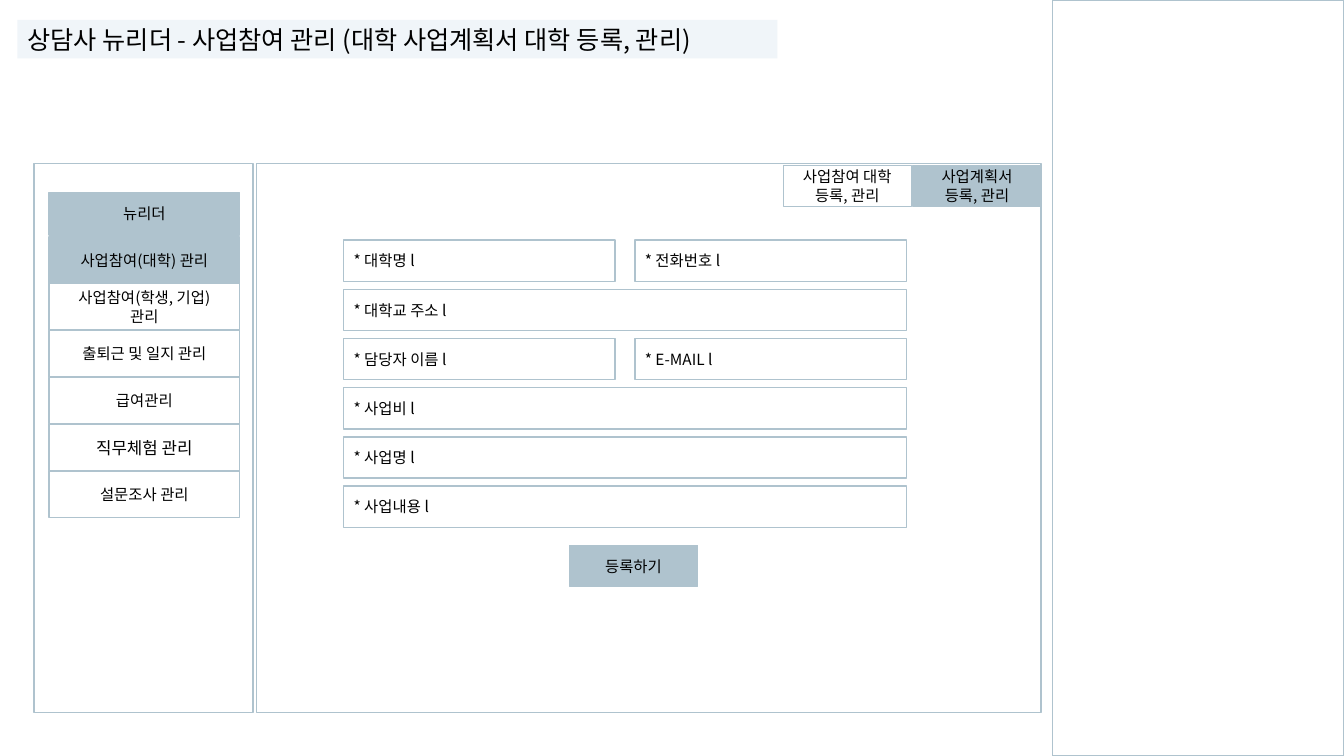
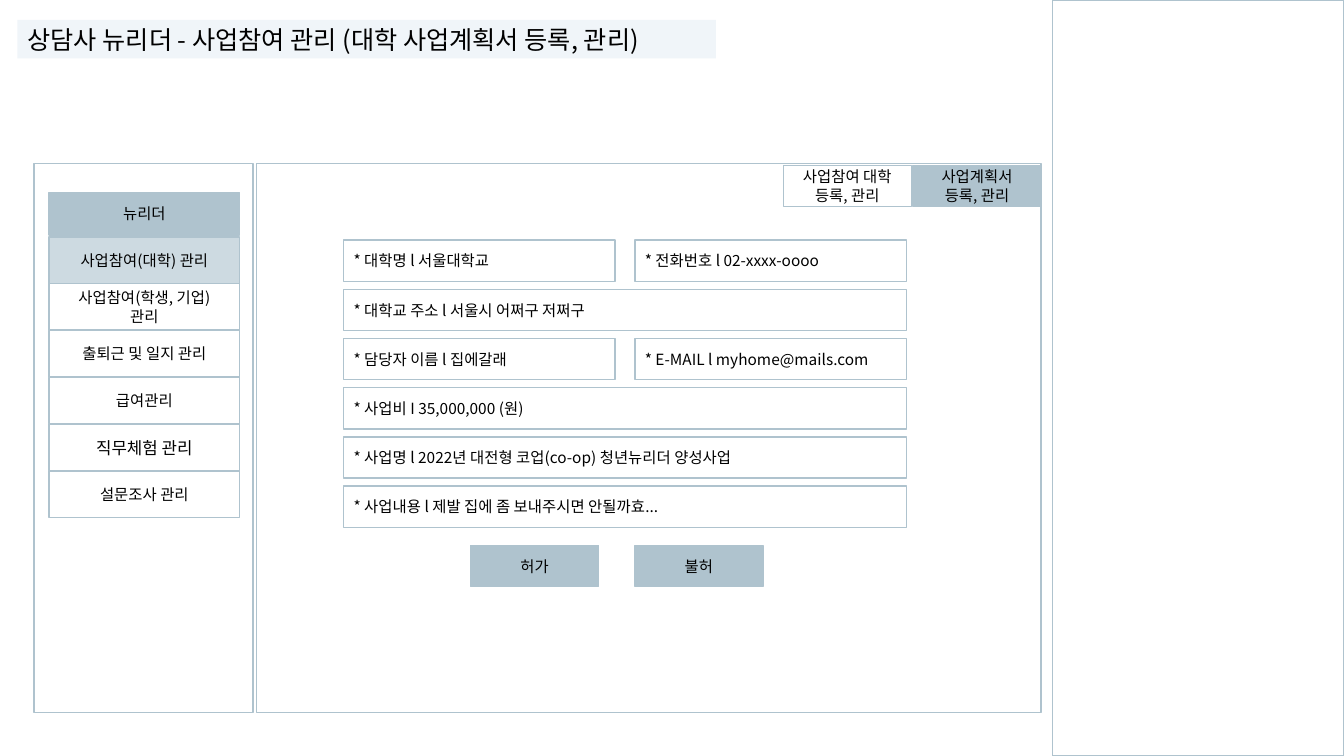
from lxml import etree
from pptx import Presentation
from pptx.dml.color import RGBColor
from pptx.enum import shapes, text
from pptx.oxml import ns
from pptx.util import Cm, Pt

FONT = "Noto Sans CJK KR"
INK, LINE, SELECTED, BAND = "000000", "AFC3CE", "CDDAE1", "F0F5F9"
LEFT, CENTER = text.PP_ALIGN.LEFT, text.PP_ALIGN.CENTER

MENU = ["사업참여(대학) 관리", "사업참여(학생, 기업)\n관리", "출퇴근 및 일지 관리",
        "급여관리", "직무체험 관리", "설문조사 관리"]
LARGE_ITEM = "직무체험 관리"
MENU_X, MENU_Y, MENU_W, MENU_PITCH = 1.24, 5.97, 4.8, 1.18
FORM_X, FORM_Y, FORM_PITCH = 8.66, 6.05, 1.24
HALF_W, FULL_W, COLUMN_STEP = 6.84, 14.18, 7.34
BUTTON_W, ROW_H = 3.23, 1.04
BUTTON_Y = 13.74


def rgb(value):
    return RGBColor.from_string(value)


class Wireframe:
    def __init__(self):
        self.prs = Presentation()
        self.prs.slide_width, self.prs.slide_height = Cm(33.87), Cm(19.05)
        self.slide = None

    def set_text(self, sp, content, size, align):
        tf = sp.text_frame
        tf.text = content
        tf.word_wrap = True
        tf.auto_size = text.MSO_AUTO_SIZE.NONE
        tf.vertical_anchor = text.MSO_ANCHOR.MIDDLE
        for p in tf.paragraphs:
            p.alignment = align
            for r in p.runs:
                r.font.size = Pt(size)
                r.font.name = FONT
                r.font.color.rgb = rgb(INK)
                latin = r.font._element.find(ns.qn("a:latin"))
                ea = etree.Element(ns.qn("a:ea"), typeface=FONT)
                latin.addnext(ea)

    def title(self, content, width):
        self.slide = self.prs.slides.add_slide(self.prs.slide_layouts[5])
        sp = self.slide.shapes.title
        sp.left, sp.top, sp.width, sp.height = Cm(0.44), Cm(0.5), Cm(width), Cm(0.97)
        sp.fill.solid()
        sp.fill.fore_color.rgb = rgb(BAND)
        self.set_text(sp, content, 18, LEFT)

    def box(self, x, y, w, h, content="", fill=None, size=11, align=CENTER):
        sp = self.slide.shapes.add_shape(
            shapes.MSO_SHAPE.RECTANGLE, Cm(x), Cm(y), Cm(w), Cm(h))
        sp.shadow.inherit = False
        sp.line.color.rgb = rgb(LINE)
        sp.line.width = Pt(1)
        if fill:
            sp.fill.solid()
            sp.fill.fore_color.rgb = rgb(fill)
        else:
            sp.fill.background()
        if content:
            self.set_text(sp, content, size, align)

    def panels(self):
        self.box(26.52, 0, 7.35, 19.05)
        self.box(6.46, 4.12, 19.78, 13.84)
        self.box(0.86, 4.12, 5.52, 13.84)

    def tabs(self):
        self.box(23.01, 4.17, BUTTON_W, ROW_H, "사업계획서\n등록, 관리", LINE)
        self.box(19.74, 4.17, BUTTON_W, ROW_H, "사업참여 대학\n등록, 관리")

    def menu(self, selected_fill):
        self.box(MENU_X, 4.85, MENU_W, 1.07, "뉴리더", LINE)
        for i, item in enumerate(MENU):
            self.box(MENU_X, MENU_Y + i * MENU_PITCH, MENU_W, 1.17, item,
                     fill=selected_fill if i == 0 else None,
                     size=12 if item == LARGE_ITEM else 11)

    def form(self, rows):
        for i, fields in enumerate(rows):
            width = FULL_W if len(fields) == 1 else HALF_W
            for j, field in enumerate(fields):
                self.box(FORM_X + j * COLUMN_STEP, FORM_Y + i * FORM_PITCH,
                         width, ROW_H, field, align=LEFT)

    def buttons(self, labels):
        for x, label in labels:
            self.box(x, BUTTON_Y, BUTTON_W, ROW_H, label, LINE)

    def screen(self, title, title_width, selected_fill, rows, buttons):
        self.title(title, title_width)
        self.panels()
        self.tabs()
        self.menu(selected_fill)
        self.form(rows)
        self.buttons(buttons)


def main():
    wf = Wireframe()
    wf.screen(
        "상담사 뉴리더 - 사업참여 관리 (대학 사업계획서 대학 등록, 관리)", 19.15, LINE,
        [["* 대학명 l", "* 전화번호 l"],
         ["* 대학교 주소 l"],
         ["* 담당자 이름 l", "* E-MAIL l"],
         ["* 사업비 l"],
         ["* 사업명 l"],
         ["* 사업내용 l"]],
        [(14.35, "등록하기")])
    wf.screen(
        "상담사 뉴리더 - 사업참여 관리 (대학 사업계획서 등록, 관리)", 17.6, SELECTED,
        [["* 대학명 l 서울대학교", "* 전화번호 l 02-xxxx-oooo"],
         ["* 대학교 주소 l 서울시 어쩌구 저쩌구"],
         ["* 담당자 이름 l 집에갈래", "* E-MAIL l myhome@mails.com"],
         ["* 사업비 I 35,000,000 (원)"],
         ["* 사업명 l 2022년 대전형 코업(co-op) 청년뉴리더 양성사업"],
         ["* 사업내용 l 제발 집에 좀 보내주시면 안될까효..."]],
        [(11.86, "허가"), (16, "불허")])
    wf.prs.save("out.pptx")


if __name__ == "__main__":
    main()
